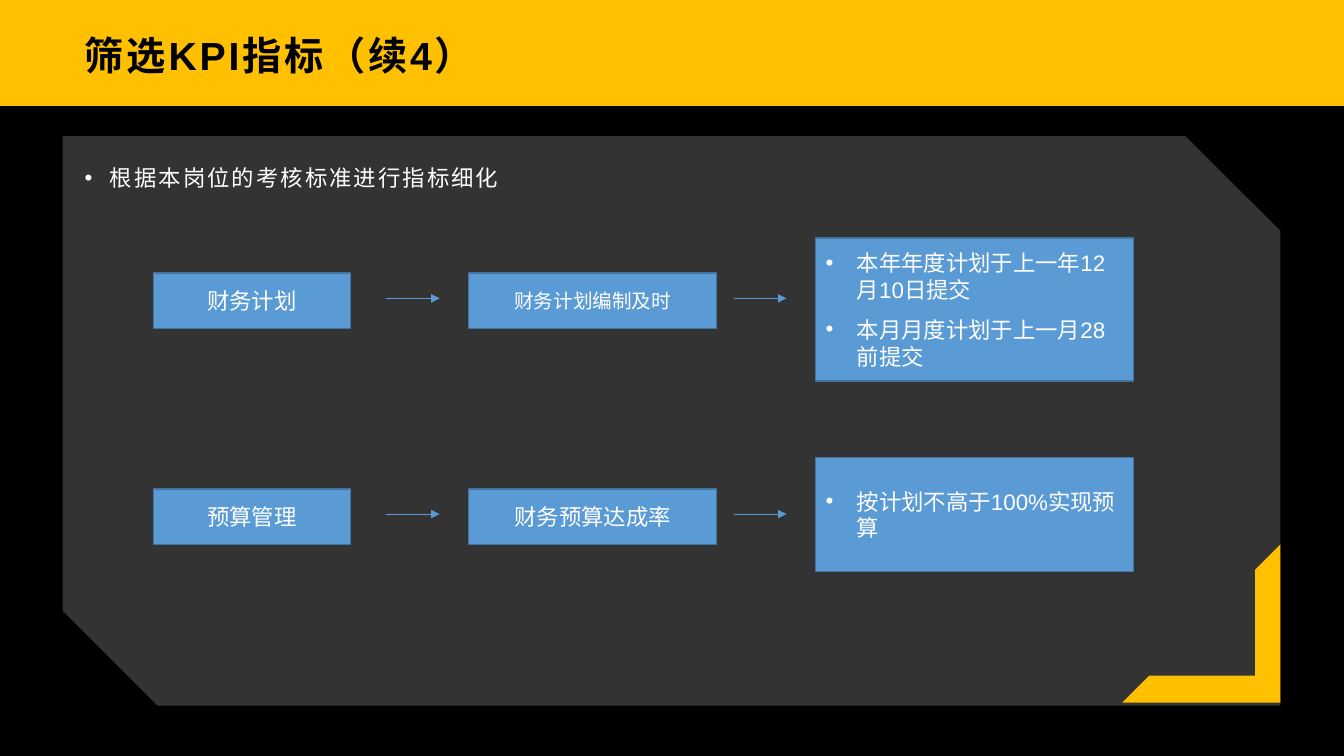
from dataclasses import dataclass

from lxml import etree
from pptx import Presentation
from pptx.dml import color
from pptx.enum import shapes, text
from pptx.oxml import ns
from pptx.util import Inches, Pt

RGB = color.RGBColor.from_string


@dataclass(frozen=True)
class Theme:
    font: str = "Arial"
    gold: RGB = RGB("FFC000")
    black: RGB = RGB("000000")
    white: RGB = RGB("FFFFFF")
    blue: RGB = RGB("5B9BD5")
    edge: RGB = RGB("43739E")
    title: float = 28
    body: float = 16
    small: float = 14


@dataclass(frozen=True)
class Box:
    left: float
    top: float
    width: float
    height: float

    def lengths(self) -> list:
        return [Inches(v) for v in (self.left, self.top, self.width, self.height)]


@dataclass(frozen=True)
class Flow:
    top: float
    area: str
    indicator: str
    indicator_size: float
    details: tuple[str, ...]
    detail_top: float
    detail_height: float


THEME = Theme()
FLOWS = (
    Flow(2.71, "财务计划", "财务计划编制及时", THEME.small,
         ("本年年度计划于上一年12月10日提交", "本月月度计划于上一月28前提交"), 2.36, 1.42),
    Flow(4.85, "预算管理", "财务预算达成率", THEME.body,
         ("按计划不高于100%实现预算",), 4.54, 1.13),
)
ARROWS = ((3.83, 4.36), (7.28, 7.8))
BOX_HEIGHT = 0.55
ARROW_DROP = 0.25


def add_run(p, words: str, size: float, rgb: RGB, bold: bool = False, spacing: float = 0) -> None:
    r = p.add_run()
    r.text = words
    r.font.name = THEME.font
    r.font.size = Pt(size)
    r.font.bold = bold
    r.font.color.rgb = rgb
    if spacing:
        r.font._element.set("spc", str(int(spacing * 100)))


def set_bullet(p, indent: float) -> None:
    pPr = p._p.get_or_add_pPr()
    pPr.set("marL", str(Inches(indent)))
    pPr.set("indent", str(-Inches(indent)))
    etree.SubElement(pPr, ns.qn("a:buFont")).set("typeface", THEME.font)
    etree.SubElement(pPr, ns.qn("a:buChar")).set("char", "•")


def add_text_frame(slide, box: Box, insets: tuple[float, ...], anchor):
    tf = slide.shapes.add_textbox(*box.lengths()).text_frame
    tf.word_wrap = True
    tf.vertical_anchor = anchor
    tf.margin_left, tf.margin_top, tf.margin_right, tf.margin_bottom = map(Inches, insets)
    return tf


def add_solid(slide, kind, box: Box, rgb: RGB):
    sp = slide.shapes.add_shape(kind, *box.lengths())
    sp.shadow.inherit = False
    sp.fill.solid()
    sp.fill.fore_color.rgb = rgb
    sp.line.fill.background()
    return sp


def add_card(slide, box: Box):
    sp = add_solid(slide, shapes.MSO_SHAPE.RECTANGLE, box, THEME.blue)
    sp.line.color.rgb = THEME.edge
    sp.line.width = Pt(1)
    tf = sp.text_frame
    tf.word_wrap = True
    tf.vertical_anchor = text.MSO_ANCHOR.MIDDLE
    return tf


def add_label(slide, box: Box, words: str, size: float) -> None:
    p = add_card(slide, box).paragraphs[0]
    p.alignment = text.PP_ALIGN.CENTER
    add_run(p, words, size, THEME.white)


def add_details(slide, box: Box, details: tuple[str, ...]) -> None:
    tf = add_card(slide, box)
    for i, words in enumerate(details):
        p = tf.add_paragraph() if i else tf.paragraphs[0]
        p.alignment = text.PP_ALIGN.LEFT
        if i:
            p.space_before = Pt(9)
        set_bullet(p, 0.31)
        add_run(p, words, THEME.body, THEME.white)


def add_arrow(slide, start: float, end: float, y: float) -> None:
    cxn = slide.shapes.add_connector(
        shapes.MSO_CONNECTOR.STRAIGHT, Inches(start), Inches(y), Inches(end), Inches(y))
    cxn.line.color.rgb = THEME.blue
    cxn.line.width = Pt(0.5)
    etree.SubElement(cxn.line._get_or_add_ln(), ns.qn("a:tailEnd")).set("type", "triangle")
    etree.SubElement(cxn._element.spPr, ns.qn("a:effectLst"))


def add_flow(slide, flow: Flow) -> None:
    add_label(slide, Box(1.52, flow.top, 1.96, BOX_HEIGHT), flow.area, THEME.body)
    add_label(slide, Box(4.65, flow.top, 2.46, BOX_HEIGHT), flow.indicator, flow.indicator_size)
    for start, end in ARROWS:
        add_arrow(slide, start, end, flow.top + ARROW_DROP)
    add_details(slide, Box(8.09, flow.detail_top, 3.15, flow.detail_height), flow.details)


def set_background(slide) -> None:
    fill = slide.background.fill
    fill.gradient()
    fill.gradient_angle = 270
    for stop, rgb in zip(fill.gradient_stops, (THEME.gold, THEME.black)):
        stop.color.rgb = rgb
        stop.position = 0.14


def add_panel(slide) -> None:
    sp = add_solid(slide, shapes.MSO_SHAPE.SNIP_2_DIAG_RECTANGLE,
                   Box(0.62, 1.35, 12.08, 5.65), THEME.white)
    clr = sp._element.spPr.find(".//" + ns.qn("a:srgbClr"))
    etree.SubElement(clr, ns.qn("a:alpha")).set("val", "20000")


def add_headings(slide) -> None:
    tf = add_text_frame(slide, Box(0.73, 0.19, 11.87, 0.71),
                        (0.11, 0.04, 0.08, 0.04), text.MSO_ANCHOR.MIDDLE)
    add_run(tf.paragraphs[0], "筛选KPI指标（续4）", THEME.title, THEME.black, True, 2)
    tf = add_text_frame(slide, Box(0.73, 1.55, 11.87, 5.38),
                        (0.11, 0, 0.09, 0), text.MSO_ANCHOR.TOP)
    p = tf.paragraphs[0]
    p.line_spacing = 1.3
    p.space_after = Pt(10)
    set_bullet(p, 0.25)
    add_run(p, "根据本岗位的考核标准进行指标细化", THEME.body, THEME.white, spacing=1.5)


def add_corner(slide) -> None:
    sp = add_solid(slide, shapes.MSO_SHAPE.HALF_FRAME, Box(11.13, 5.4, 1.57, 1.57), THEME.gold)
    sp.adjustments[0] = 0.17
    sp.adjustments[1] = 0.16
    sp.rotation = 180


def main() -> None:
    prs = Presentation()
    prs.slide_width, prs.slide_height = Inches(13.33), Inches(7.5)
    slide = prs.slides.add_slide(prs.slide_layouts[6])
    set_background(slide)
    add_panel(slide)
    add_headings(slide)
    for flow in FLOWS:
        add_flow(slide, flow)
    add_corner(slide)
    prs.save("out.pptx")


if __name__ == "__main__":
    main()
